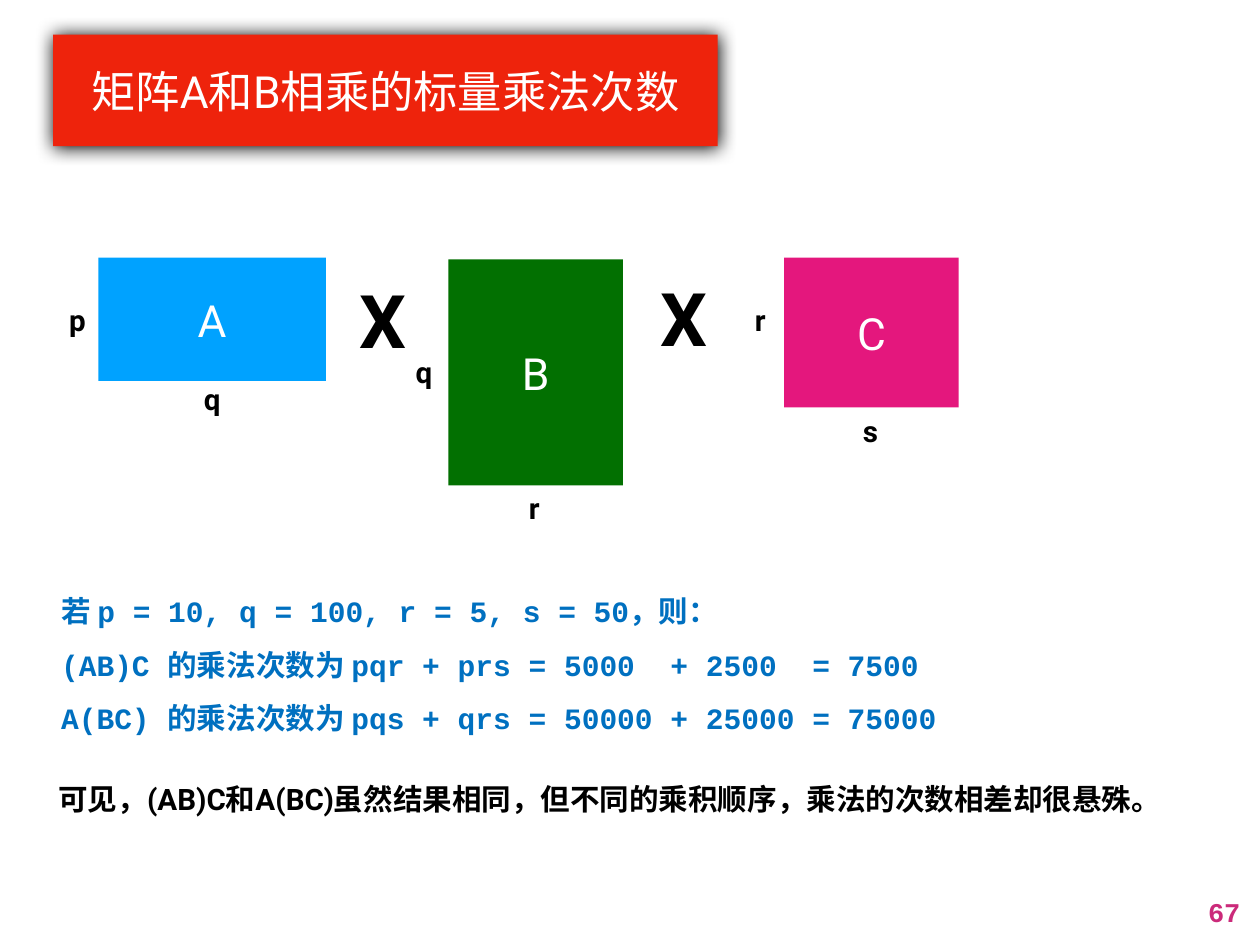
from lxml.etree import SubElement
from pptx import Presentation
from pptx.dml.color import RGBColor
from pptx.enum.shapes import MSO_SHAPE as Shape
from pptx.enum.text import MSO_ANCHOR as Anchor, PP_ALIGN as Align
from pptx.oxml.ns import qn
from pptx.util import Inches, Pt

COLORS = {
    "red": "EE230C", "blue": "00A2FF", "green": "027001", "pink": "E4177D",
    "formula": "0070C0", "number": "CB2A7A", "black": "000000", "white": "FFFFFF",
}
MATRICES = [
    ("A", "blue", (1.11, 2.91, 2.57, 1.39)),
    ("B", "green", (5.06, 2.93, 1.97, 2.55)),
    ("C", "pink", (8.85, 2.91, 1.97, 1.69)),
]
DIMENSIONS = [
    ("p", (0.72, 3.36, 0.33, 0.5)),
    ("q", (2.24, 4.25, 0.33, 0.5)),
    ("q", (4.63, 3.95, 0.33, 0.5)),
    ("r", (5.91, 5.48, 0.25, 0.5)),
    ("r", (8.46, 3.35, 0.24, 0.52)),
    ("s", (9.68, 4.6, 0.3, 0.52)),
]
TIMES_SIGNS = [(4, 3.05, 0.68, 1.11), (7.4, 3.02, 0.68, 1.11)]
FORMULAS = [
    "若 p = 10, q = 100, r = 5, s = 50，则：",
    "(AB)C 的乘法次数为 pqr + prs = 5000  + 2500  = 7500",
    "A(BC) 的乘法次数为 pqs + qrs = 50000 + 25000 = 75000",
]
CONCLUSION = "可见，(AB)C和A(BC)虽然结果相同，但不同的乘积顺序，乘法的次数相差却很悬殊。"


class SlideBuilder:
    """Draw styled elements on the current slide."""

    font = "Roboto"
    code_font = "Courier New"

    def __init__(self, page):
        self.page = page

    def fill_text(self, box, lines, color, size, bold, font=None, wrap=True,
                  align=Align.LEFT, anchor=Anchor.MIDDLE, spacing=None, inset=0.06):
        frame = box.text_frame
        margin = Inches(inset)
        frame_format = {
            "margin_left": margin, "margin_right": margin,
            "margin_top": margin, "margin_bottom": margin,
            "vertical_anchor": anchor, "word_wrap": wrap,
        }
        for name, value in frame_format.items():
            setattr(frame, name, value)
        font_format = {"name": font or self.font, "size": Pt(size), "bold": bold}
        for index, line in enumerate(lines):
            para = frame.add_paragraph() if index else frame.paragraphs[0]
            para.alignment, para.line_spacing = align, spacing
            span = para.add_run()
            span.text = line
            for name, value in font_format.items():
                setattr(span.font, name, value)
            span.font.color.rgb = RGBColor.from_string(COLORS[color])

    def text(self, place, *lines, color="black", size=24, **style):
        box = self.page.shapes.add_textbox(*map(Inches, place))
        self.fill_text(box, lines, color, size, True, **style)

    def block(self, place, label, fill, inset=0.06):
        box = self.page.shapes.add_shape(Shape.RECTANGLE, *map(Inches, place))
        box.shadow.inherit = False
        box.fill.solid()
        box.fill.fore_color.rgb = RGBColor.from_string(COLORS[fill])
        box.line.fill.background()
        self.fill_text(box, [label], "white", 36, False, align=Align.CENTER, inset=inset)
        return box

    def title(self, place, label):
        box = self.block(place, label, "red", inset=0.07)
        effects = box._element.spPr.find(qn("a:effectLst"))
        shadow = SubElement(effects, qn("a:outerShdw"), blurRad=str(Pt(15)),
                            dist=str(Pt(0.7)), dir="5400000", rotWithShape="0")
        SubElement(shadow, qn("a:srgbClr"), val=COLORS["black"])


def main():
    deck = Presentation()
    deck.slide_width, deck.slide_height = Inches(14.22), Inches(10.67)
    slide = SlideBuilder(deck.slides.add_slide(deck.slide_layouts[6]))

    slide.title((0.6, 0.39, 7.5, 1.26), "矩阵A和B相乘的标量乘法次数")
    for label, fill, place in MATRICES:
        slide.block(place, label, fill)
    for label, place in DIMENSIONS:
        slide.text(place, label, wrap=False)
    for place in TIMES_SIGNS:
        slide.text(place, "X", size=60, wrap=False)
    slide.text((0.63, 6.47, 12.8, 1.86), *FORMULAS, color="formula",
               font=slide.code_font, spacing=1.5)
    slide.text((0.6, 8.76, 12.79, 0.52), CONCLUSION)
    slide.text((13.55, 10.04, 0.52, 0.5), "67", color="number", size=22,
               font=slide.code_font, wrap=False, align=Align.RIGHT,
               anchor=Anchor.TOP, inset=0.07)
    deck.save("out.pptx")


if __name__ == "__main__":
    main()
